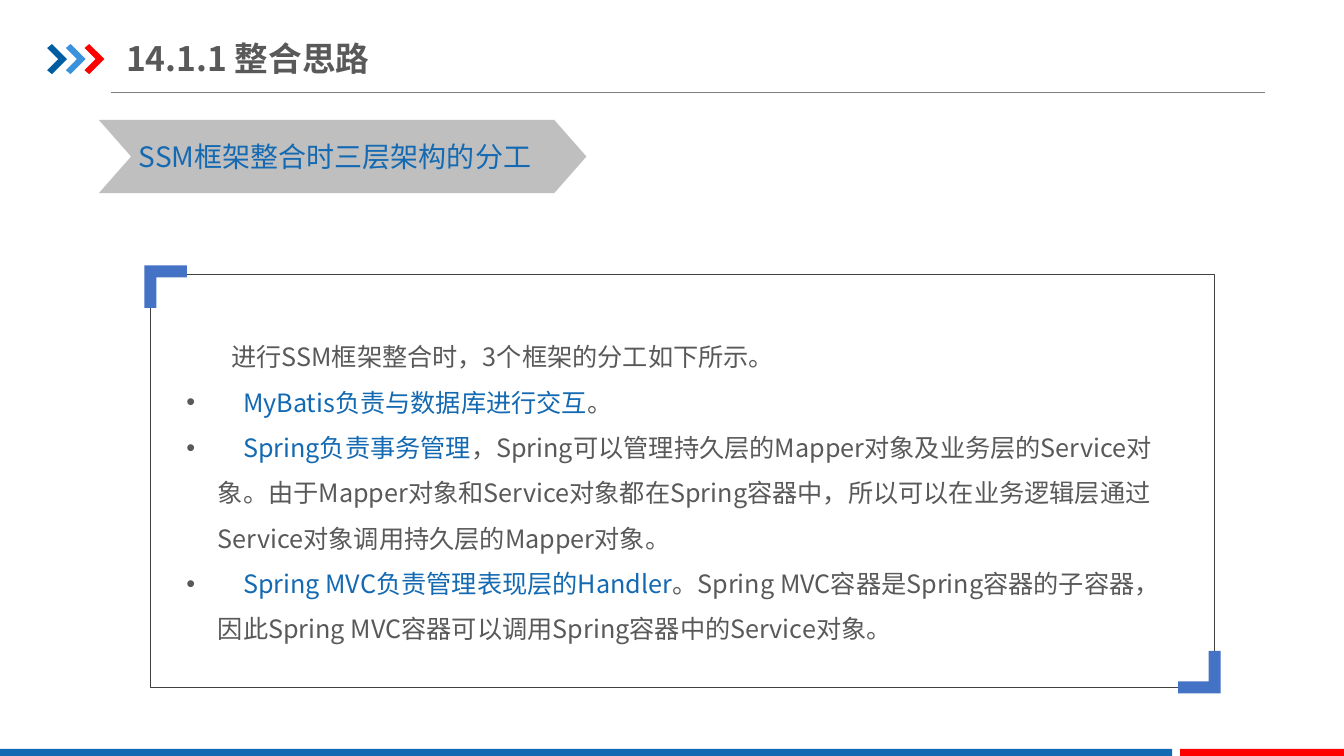
from lxml.etree import SubElement
from pptx import Presentation
from pptx.dml.color import RGBColor
from pptx.enum.shapes import MSO_CONNECTOR, MSO_SHAPE
from pptx.enum.text import MSO_ANCHOR, MSO_AUTO_SIZE, PP_ALIGN
from pptx.oxml.ns import qn
from pptx.util import Cm, Pt

FONT = "Noto Sans CJK SC"
COLOURS = {
    "blue": "1369B2", "navy": "005DA2", "sky": "3992DB", "red": "FF0000",
    "corner": "4472C4", "banner": "BFBFBF", "text": "595959",
    "rule": "808080", "frame": "404040",
}
INTRO = "进行SSM框架整合时，3个框架的分工如下所示。"
DUTIES = [
    ("MyBatis负责与数据库进行交互", "。"),
    ("Spring负责事务管理",
     "，Spring可以管理持久层的Mapper对象及业务层的Service对象。由于Mapper对象和Service对象"
     "都在Spring容器中，所以可以在业务逻辑层通过Service对象调用持久层的Mapper对象。"),
    ("Spring MVC负责管理表现层的Handler",
     "。Spring MVC容器是Spring容器的子容器，因此Spring MVC容器可以调用Spring容器中的Service对象。"),
]
ARROW = [(0, 0.1), (0.12, 0), (0.5, 0.38), (0.12, 0.76), (0, 0.66), (0.28, 0.38)]
CORNER_SIZE = 1.07
CORNER = [(0, 0), (CORNER_SIZE, 0), (CORNER_SIZE, 0.3), (0.3, 0.3),
          (0.3, CORNER_SIZE), (0, CORNER_SIZE)]


def rgb(name):
    return RGBColor.from_string(COLOURS[name])


def fill_plain(shape, colour):
    shape.shadow.inherit = False
    shape.fill.solid()
    shape.fill.fore_color.rgb = rgb(colour)
    shape.line.fill.background()


def add_block(page, kind, left, top, width, height, colour):
    block = page.shapes.add_shape(kind, Cm(left), Cm(top), Cm(width), Cm(height))
    fill_plain(block, colour)
    return block


def add_outline(page, points, left, top, colour):
    corners = [(Cm(left + x), Cm(top + y)) for x, y in points]
    builder = page.shapes.build_freeform(*corners[0])
    builder.add_line_segments(corners[1:], close=True)
    outline = builder.convert_to_shape()
    fill_plain(outline, colour)
    return outline


def style_para(para, size, colour, bold=False):
    """Set the paragraph font for Latin and Chinese text alike."""
    font = para.font
    font.name, font.size, font.bold = FONT, Pt(size), bold
    font.color.rgb = rgb(colour)
    SubElement(para._p.pPr.find(qn("a:defRPr")), qn("a:ea"), typeface=FONT)


def add_text_box(page, left, top, width, height):
    box = page.shapes.add_textbox(Cm(left), Cm(top), Cm(width), Cm(height))
    box.text_frame.word_wrap = True
    return box.text_frame


def add_header(page, left, top):
    for index, colour in enumerate(("navy", "sky", "red")):
        add_outline(page, ARROW, left + 0.47 * index, top + 0.35, colour)
    rule_y = Cm(top + 1.57)
    rule = page.shapes.add_connector(
        MSO_CONNECTOR.STRAIGHT, Cm(left + 1.6), rule_y, Cm(left + 30.68), rule_y)
    rule.line.color.rgb = rgb("rule")
    rule.line.width = Pt(0.5)
    SubElement(rule._element.spPr, qn("a:effectLst"))

    title = page.shapes.title
    title.left, title.top = Cm(left + 1.99), Cm(top)
    title.width, title.height = Cm(7.6), Cm(1.4)
    frame = title.text_frame
    frame.auto_size = MSO_AUTO_SIZE.NONE
    frame.vertical_anchor = MSO_ANCHOR.MIDDLE
    frame.margin_left = frame.margin_right = 0
    frame.text = "14.1.1 整合思路"
    para = frame.paragraphs[0]
    para.alignment = PP_ALIGN.LEFT
    style_para(para, 24, "text", bold=True)


def add_banner(page, left, top, width, height):
    chevron = add_block(page, MSO_SHAPE.CHEVRON, left, top, width, height, "banner")
    chevron.adjustments[0] = 0.44
    frame = add_text_box(page, left + 0.76, top + 0.36, width - 1.42, 1.12)
    frame.text = "SSM框架整合时三层架构的分工"
    style_para(frame.paragraphs[0], 20, "blue")


def add_bullet(para):
    props = para._p.get_or_add_pPr()
    props.set("marL", str(Cm(0.79)))
    props.set("indent", str(Cm(-0.79)))
    SubElement(props, qn("a:buFont"), typeface="Arial")
    SubElement(props, qn("a:buChar"), char="•")


def add_duties(page, left, top, width, height):
    frame = add_text_box(page, left, top, width, height)
    intro = frame.paragraphs[0]
    intro.text = INTRO
    intro.line_spacing = 1.5
    intro._p.get_or_add_pPr().set("indent", str(Cm(1.13)))
    style_para(intro, 18, "text")
    for duty, detail in DUTIES:
        para = frame.add_paragraph()
        para.line_spacing = 1.5
        add_bullet(para)
        style_para(para, 18, "text")
        para.add_run().text = "　"
        span = para.add_run()
        span.text = duty
        span.font.color.rgb = rgb("blue")
        para.add_run().text = detail


def add_panel(page, left, top, width, height):
    add_duties(page, left + 0.66, top + 1.19, width - 1.47, height - 2.05)
    border = page.shapes.add_shape(
        MSO_SHAPE.RECTANGLE, Cm(left), Cm(top), Cm(width), Cm(height))
    border.shadow.inherit = False
    border.fill.background()
    border.line.color.rgb = rgb("frame")
    border.line.width = Pt(0.25)
    add_outline(page, CORNER, left - 0.15, top - 0.22, "corner")
    lower = add_outline(page, CORNER, left + width + 0.15 - CORNER_SIZE,
                        top + height + 0.15 - CORNER_SIZE, "corner")
    lower.rotation = 180


def add_footer(page, top, width, height):
    red_width, gap = 4.13, 0.2
    blue_width = width - red_width - gap
    add_block(page, MSO_SHAPE.RECTANGLE, 0, top, blue_width, height, "blue")
    add_block(page, MSO_SHAPE.RECTANGLE, blue_width + gap, top, red_width, height, "red")


def main():
    deck = Presentation()
    deck.slide_width, deck.slide_height = Cm(33.87), Cm(19.05)
    page = deck.slides.add_slide(deck.slide_layouts[5])
    add_header(page, 1.19, 0.76)
    add_banner(page, 2.49, 3.02, 12.29, 1.85)
    add_panel(page, 3.79, 6.91, 26.82, 10.41)
    add_footer(page, 18.87, 33.87, 0.18)
    deck.save("out.pptx")


if __name__ == "__main__":
    main()
